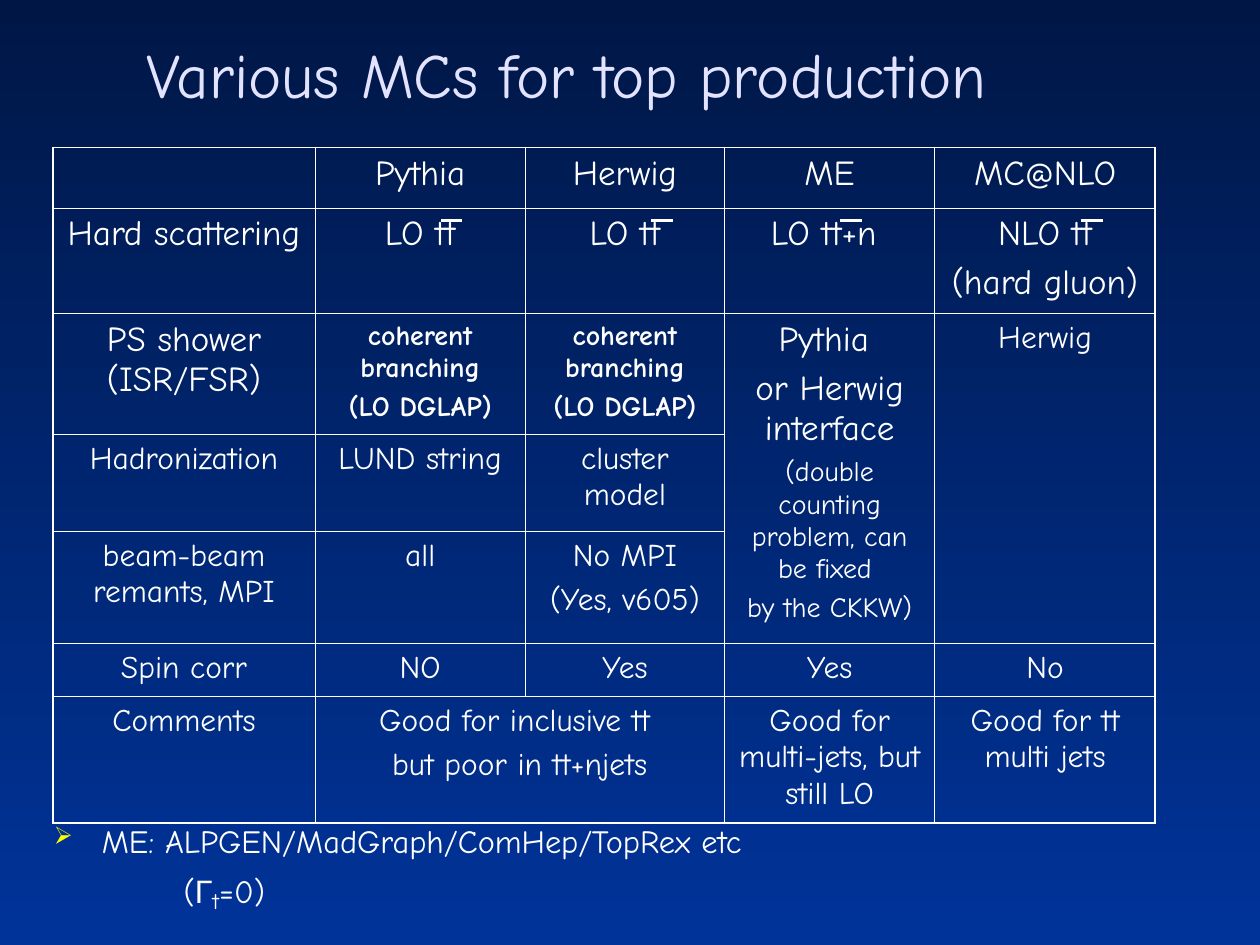
from lxml import etree
from pptx import Presentation
from pptx import util as u
from pptx.dml.color import RGBColor
from pptx.enum import shapes, text
from pptx.oxml import ns

COLORS = {"top": "001746", "bottom": "003399", "title": "E3E3FF",
          "body": "FFFFFF", "bullet": "FFFF00"}
NO_TABLE_STYLE = "{2D5ABB26-0587-4C30-8999-92F81FD0307C}"


def rgb(name):
    return RGBColor.from_string(COLORS[name])


def add_xml(parent, tag, **attributes):
    return etree.SubElement(parent, ns.qn(tag), attributes)


class Deck:
    font = "Comic Neue"

    def __init__(self, width, height):
        self.file = Presentation()
        self.file.slide_width, self.file.slide_height = u.Inches(width), u.Inches(height)
        self.slide = self.file.slides.add_slide(self.file.slide_layouts[6])

    def background(self, top, bottom):
        fill = self.slide.background.fill
        fill.gradient()
        fill.gradient_angle = 270
        for stop, color, position in zip(fill.gradient_stops, (top, bottom), (0, 1)):
            stop.color.rgb = rgb(color)
            stop.position = position

    def style(self, paragraph, size, color="body", bold=False):
        font = paragraph.font
        font.name, font.size, font.bold = self.font, u.Pt(size), bold
        font.color.rgb = rgb(color)

    def text_box(self, left, top, width, height, anchor=text.MSO_ANCHOR.TOP):
        frame = self.slide.shapes.add_textbox(*map(u.Inches, (left, top, width, height))).text_frame
        frame.word_wrap = True
        frame.vertical_anchor = anchor
        return frame

    def bullet(self, paragraph, char, color, indent):
        props = paragraph._p.get_or_add_pPr()
        props.set("marL", str(u.Inches(indent)))
        props.set("indent", str(-u.Inches(indent)))
        add_xml(add_xml(props, "a:buClr"), "a:srgbClr", val=COLORS[color])
        add_xml(props, "a:buSzPct", val="75000")
        add_xml(props, "a:buChar", char=char)

    def borders(self, cell, widths):
        props = cell._tc.get_or_add_tcPr()
        for side, width in widths.items():
            line = add_xml(props, f"a:ln{side}", w=str(u.Pt(width)))
            add_xml(add_xml(line, "a:solidFill"), "a:srgbClr", val=COLORS["body"])

    def table(self, left, top, columns, rows, cells, merges, inner, outer):
        frame = self.slide.shapes.add_table(
            len(rows), len(columns), *map(u.Inches, (left, top, sum(columns), sum(rows))))
        table = frame.table
        table.first_row = table.horz_banding = False
        table._tbl.tblPr.find(ns.qn("a:tableStyleId")).text = NO_TABLE_STYLE
        for column, width in zip(table.columns, columns):
            column.width = u.Inches(width)
        for row, height in zip(table.rows, rows):
            row.height = u.Inches(height)

        # Merged areas: every covered cell knows its owner
        owner = {(r, c): (r, c) for r in range(len(rows)) for c in range(len(columns))}
        for start, end in merges:
            table.cell(*start).merge(table.cell(*end))
            for r in range(start[0], end[0] + 1):
                for c in range(start[1], end[1] + 1):
                    owner[r, c] = start

        # Heavy frame outside, thin rules between different areas
        for (r, c), area in owner.items():
            cell = table.cell(r, c)
            neighbours = {"L": (r, c - 1), "R": (r, c + 1), "T": (r - 1, c), "B": (r + 1, c)}
            self.borders(cell, {side: inner if place in owner else outer
                                for side, place in neighbours.items()
                                if owner.get(place) != area})
            cell.fill.background()
            if area == (r, c):
                self.cell_text(cell, cells[r][c])

    def cell_text(self, cell, lines):
        for i, (line, size, bold) in enumerate(lines):
            paragraph = cell.text_frame.paragraphs[0] if i == 0 else cell.text_frame.add_paragraph()
            paragraph.text = line
            paragraph.alignment = text.PP_ALIGN.CENTER
            if i:
                paragraph.space_before = u.Pt(size / 4)
            self.style(paragraph, size, bold=bold)

    def line(self, left, top, length, width):
        bar = self.slide.shapes.add_connector(
            shapes.MSO_CONNECTOR.STRAIGHT,
            *map(u.Inches, (left, top, left + length, top)))
        bar.line.color.rgb = rgb("body")
        bar.line.width = u.Pt(width)
        add_xml(bar._element.spPr, "a:effectLst")


def big(*lines):
    return [(line, 20, False) for line in lines]


def medium(*lines):
    return [(line, 18, False) for line in lines]


def small(*lines, bold=False):
    return [(line, 16, bold) for line in lines]


def main():
    deck = Deck(10, 7.5)
    deck.background("top", "bottom")

    # Title
    title = deck.text_box(0.58, 0.17, 8, 0.83, text.MSO_ANCHOR.MIDDLE).paragraphs[0]
    title.text = "Various MCs for top production "
    title.alignment = text.PP_ALIGN.CENTER
    deck.style(title, 36, "title")

    # Notes under the table
    notes = deck.text_box(0.33, 6.58, 7.67, 0.67)
    generators, width_note = notes.paragraphs[0], notes.add_paragraph()
    generators.text = "ME: ALPGEN/MadGraph/ComHep/TopRex etc"
    deck.bullet(generators, "➢", "bullet", 0.38)
    width_note._p.get_or_add_pPr().set("marL", str(u.Inches(1.03)))
    width_note.space_before = u.Pt(12.5)
    for note in (generators, width_note):
        note.line_spacing = 0.6
        deck.style(note, 18.5)
    opening, gamma, subscript, closing = [width_note.add_run() for _ in range(4)]
    for run, part in zip((opening, gamma, subscript, closing), ("(", "Γ", "t", "=0)")):
        run.text = part
    gamma.font.name = "Arial"
    subscript.font.size = u.Pt(22.2)
    subscript._r.get_or_add_rPr().set("baseline", "-14000")

    # Generator comparison
    branching = small("coherent branching", "(LO DGLAP)", bold=True)
    comparison = [
        [big(""), big("Pythia"), big("Herwig"), big("ME"), big("MC@NLO")],
        [big("Hard scattering"), big("LO tt"), big("LO tt"), big("LO tt+n "),
         big("NLO tt", "(hard gluon)")],
        [big("PS shower (ISR/FSR)"), branching, branching,
         big("Pythia ", "or Herwig interface")
         + small("(double counting problem, can be fixed ", "by the CKKW)"),
         medium("Herwig")],
        [medium("Hadronization"), medium("LUND string"), medium("cluster model")],
        [medium("beam-beam remants, MPI"), medium("all"), medium("No MPI", "(Yes, v605)")],
        [medium(entry) for entry in ("Spin corr", "NO", "Yes", "Yes", "No")],
        [medium("Comments"), medium("Good for inclusive tt ", "but poor in tt+njets"), None,
         medium("Good for multi-jets, but still LO"), medium("Good for tt multi jets")],
    ]
    deck.table(0.42, 1.17, columns=[2.08, 1.67, 1.58, 1.67, 1.75],
               rows=[0.48, 0.84, 0.96, 0.77, 0.89, 0.42, 1], cells=comparison,
               merges=[((2, 3), (4, 3)), ((2, 4), (4, 4)), ((6, 1), (6, 2))],
               inner=0.45, outer=1.08)

    # Antiquark bars
    for bar_left in (3.5, 5.17, 6.67, 8.58):
        deck.line(bar_left, 1.75, 0.17, 2.25)

    deck.file.save("out.pptx")


if __name__ == "__main__":
    main()
